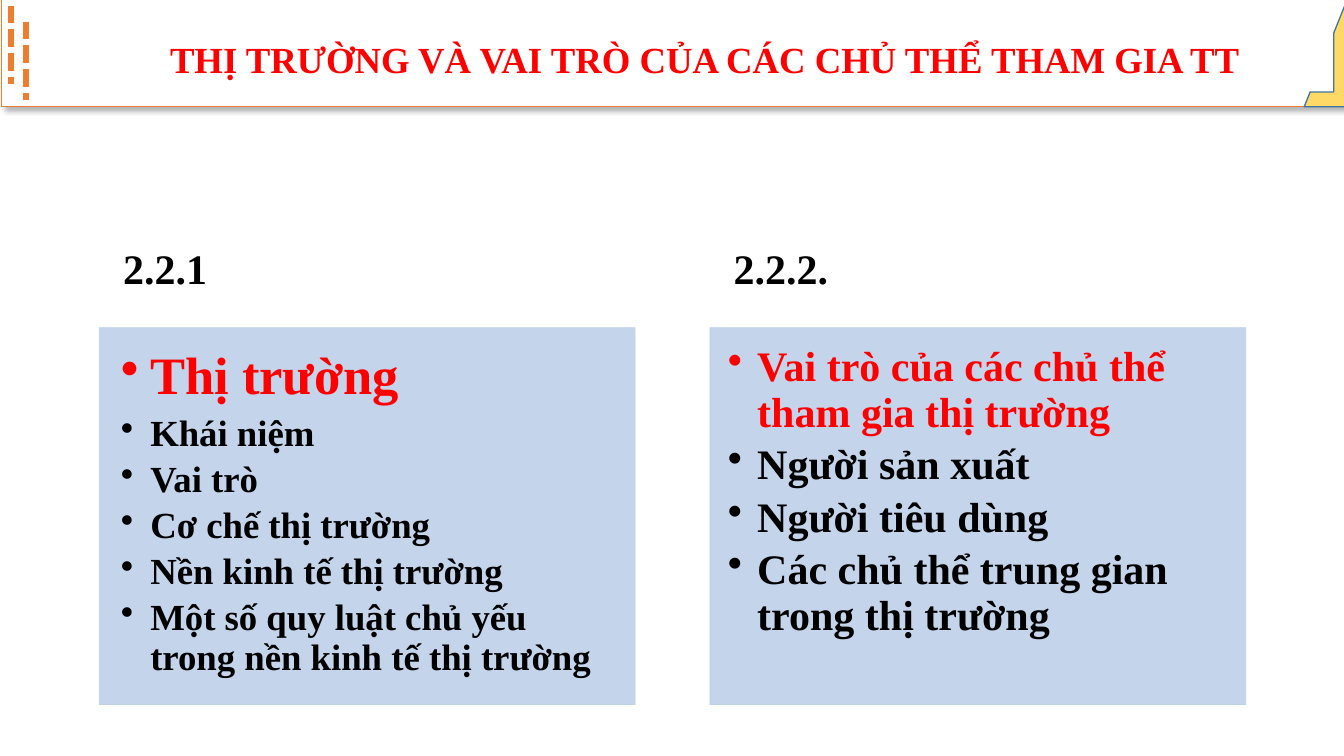
from dataclasses import dataclass

from lxml import etree
from pptx import Presentation
from pptx.dml.color import RGBColor
from pptx.enum.dml import MSO_LINE
from pptx.enum.shapes import MSO_CONNECTOR, MSO_SHAPE
from pptx.enum.text import MSO_ANCHOR, PP_ALIGN
from pptx.oxml import parse_xml
from pptx.oxml.ns import nsdecls, qn
from pptx.util import Cm, Pt

RECTANGLE = MSO_SHAPE.RECTANGLE
HALF_FRAME = MSO_SHAPE.HALF_FRAME
STRAIGHT = MSO_CONNECTOR.STRAIGHT
SQUARE_DOT = MSO_LINE.SQUARE_DOT
TOP = MSO_ANCHOR.TOP
MIDDLE = MSO_ANCHOR.MIDDLE
LEFT = PP_ALIGN.LEFT


@dataclass(frozen=True)
class Theme:
    font: str = "Times New Roman"
    white: RGBColor = RGBColor(0xFF, 0xFF, 0xFF)
    black: RGBColor = RGBColor(0x00, 0x00, 0x00)
    red: RGBColor = RGBColor(0xFF, 0x00, 0x00)
    orange: RGBColor = RGBColor(0xED, 0x7D, 0x31)
    panel: RGBColor = RGBColor(0xBD, 0xD0, 0xE9)
    gold: RGBColor = RGBColor(0xFF, 0xD9, 0x66)
    blue: RGBColor = RGBColor(0x43, 0x73, 0x9E)
    small: int = 28
    medium: int = 32
    large: int = 40


theme = Theme()


def add_box(slide, kind, bounds, fill, line, line_width):
    shape = slide.shapes.add_shape(kind, *(Cm(value) for value in bounds))
    shape.shadow.inherit = False
    shape.fill.solid()
    shape.fill.fore_color.rgb = fill
    shape.line.color.rgb = line
    shape.line.width = Pt(line_width)
    return shape


def write_text(shape, lines, insets, anchor, line_spacing=1, gap=0, bulleted=False):
    frame = shape.text_frame
    frame.word_wrap = True
    frame.vertical_anchor = anchor
    frame.margin_left, frame.margin_top, frame.margin_right, frame.margin_bottom = map(Cm, insets)
    for index, (text, size, color) in enumerate(lines):
        paragraph = frame.add_paragraph() if index else frame.paragraphs[0]
        paragraph.text = text
        paragraph.alignment = LEFT
        paragraph.line_spacing = line_spacing
        paragraph.space_after = Pt(round(size * gap, 1))
        if bulleted:
            properties = paragraph._p.get_or_add_pPr()
            properties.set("marL", str(Cm(0.79)))
            properties.set("indent", str(Cm(-0.79)))
            etree.SubElement(properties, qn("a:buChar"), char="•")
        paragraph.font.name = theme.font
        paragraph.font.size = Pt(size)
        paragraph.font.bold = True
        paragraph.font.color.rgb = color


presentation = Presentation()
presentation.slide_width = Cm(36.12)
presentation.slide_height = Cm(20.32)
slide = presentation.slides.add_slide(presentation.slide_layouts[6])

columns = [
    ("2.2.1", "Thị trường", theme.large, theme.small, (0.58, 0.58, 0.79, 0.89), [
        "Khái niệm",
        "Vai trò",
        "Cơ chế thị trường",
        "Nền kinh tế thị trường",
        "Một số quy luật chủ yếu trong nền kinh tế thị trường",
    ]),
    ("2.2.2.", "Vai trò của các chủ thể tham gia thị trường", theme.medium, theme.medium,
     (0.48, 0.48, 0.64, 0.71), [
        "Người sản xuất",
        "Người tiêu dùng",
        "Các chủ thể trung gian trong thị trường",
    ]),
]
column_left, column_pitch, column_width = 2.67, 16.41, 14.4
header_top, header_height, panel_height = 5.77, 3.04, 10.13

for index, (number, heading, heading_size, item_size, insets, items) in enumerate(columns):
    left = column_left + index * column_pitch
    header = slide.shapes.add_textbox(Cm(left), Cm(header_top), Cm(column_width), Cm(header_height))
    write_text(header, [(number, theme.medium, theme.black)], (0.64, 0.36, 0.64, 0.36), MIDDLE, 0.9)

    bounds = (left, header_top + header_height, column_width, panel_height)
    panel = add_box(slide, RECTANGLE, bounds, theme.panel, theme.panel, 0.5)
    for color in panel._element.spPr.iter(qn("a:srgbClr")):
        etree.SubElement(color, qn("a:alpha"), val="90000")
    lines = [(heading, heading_size, theme.red)] + [(item, item_size, theme.black) for item in items]
    write_text(panel, lines, insets, TOP, 0.9, 0.17, True)

banner = add_box(slide, RECTANGLE, (0.05, -0.1, 36.12, 2.97), theme.white, theme.orange, 1)
effects = banner._element.spPr.find(qn("a:effectLst"))
effects.append(parse_xml(
    f'<a:outerShdw {nsdecls("a")} blurRad="{Pt(4.5)}" dist="{Pt(2.6)}" dir="{53 * 60000}" '
    'algn="tl" rotWithShape="0"><a:srgbClr val="000000"><a:alpha val="30000"/></a:srgbClr></a:outerShdw>'
))

for left, top in ((0.3, 0.15), (0.71, 0.58)):
    dots = slide.shapes.add_connector(STRAIGHT, Cm(left), Cm(top), Cm(left), Cm(top + 2.11))
    dots.line.color.rgb = theme.orange
    dots.line.width = Pt(4.5)
    dots.line.dash_style = SQUARE_DOT
    etree.SubElement(dots._element.spPr, qn("a:effectLst"))

title = slide.shapes.add_textbox(Cm(4.32), Cm(0.53), Cm(29.59), Cm(2.11))
write_text(title, [("THỊ TRƯỜNG VÀ VAI TRÒ CỦA CÁC CHỦ THỂ THAM GIA TT", theme.small, theme.red)],
           (0.25, 0.13, 0.25, 0.13), MIDDLE)

corner = add_box(slide, HALF_FRAME, (35.05, -0.1, 1.19, 2.97), theme.gold, theme.blue, 1)
corner.rotation = 180

presentation.save("out.pptx")
